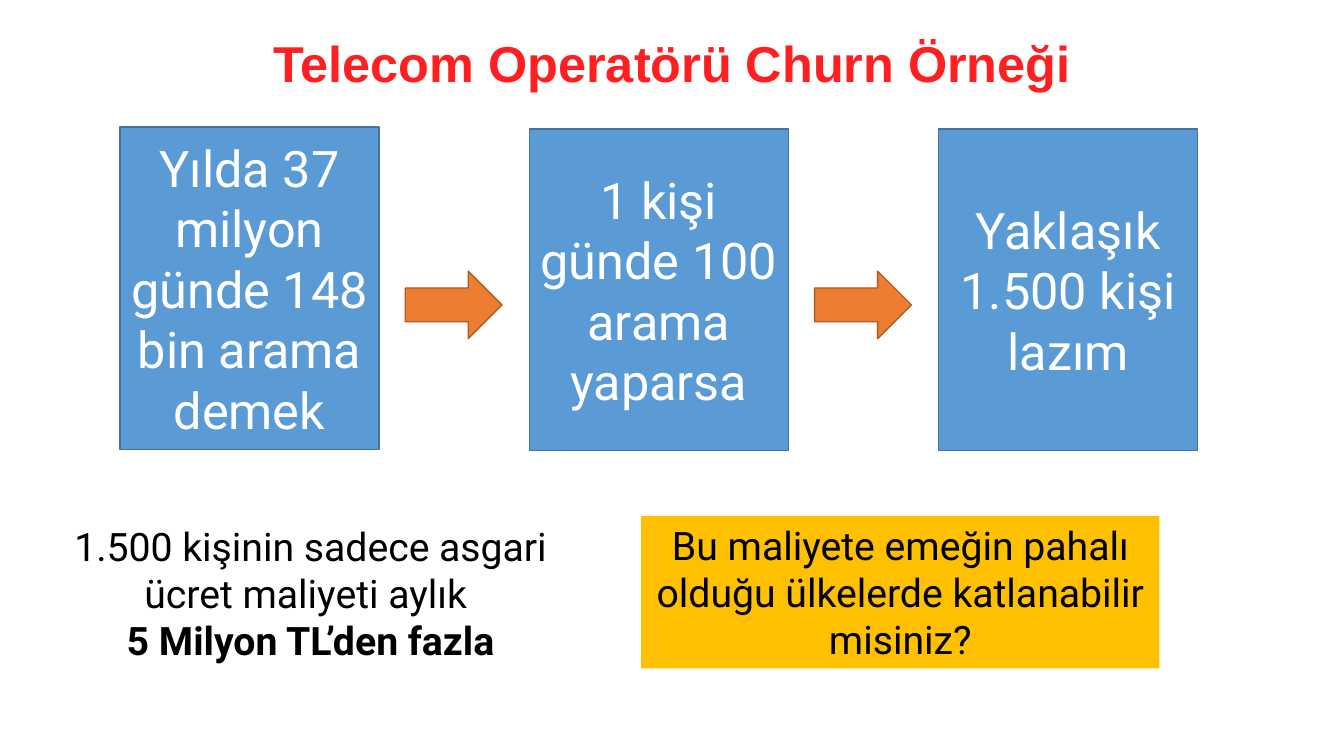
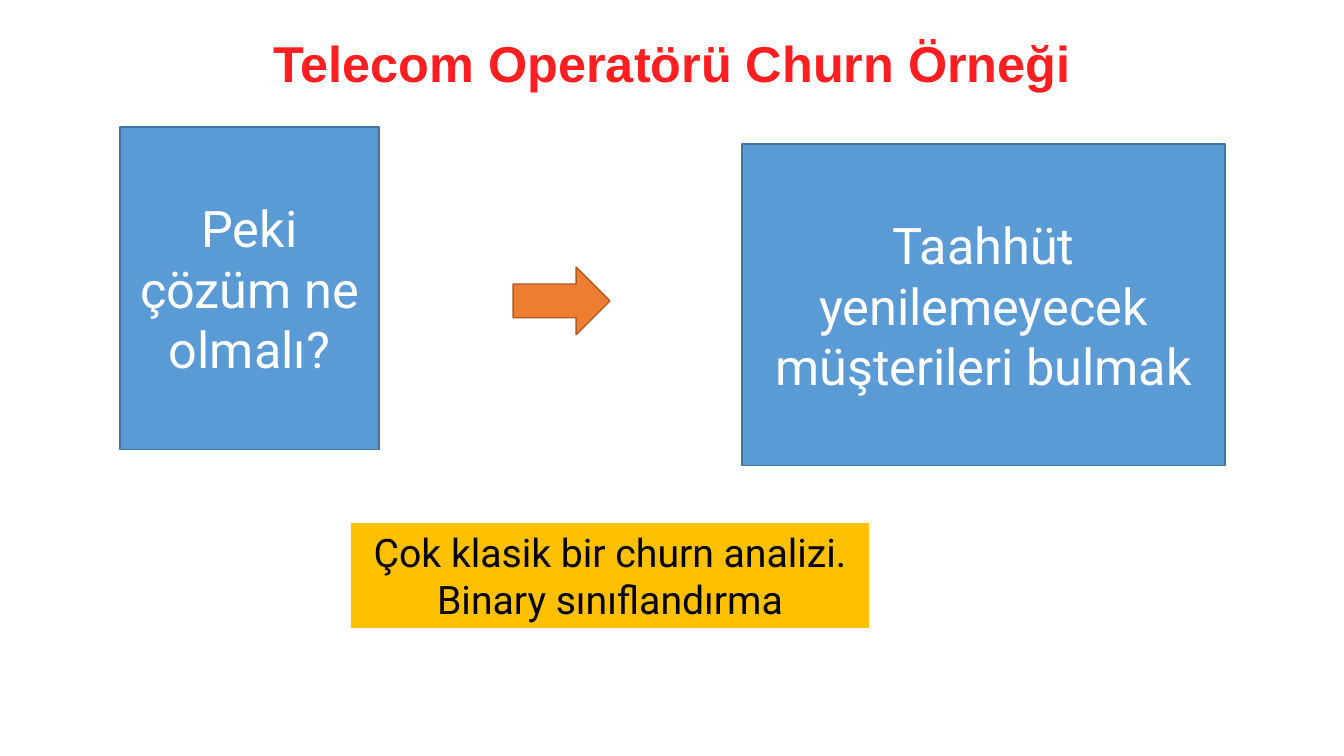
"""Build two slides on the telecom churn example."""
from dataclasses import dataclass

from pptx import Presentation
from pptx.dml.color import RGBColor
from pptx.enum.shapes import MSO_SHAPE
from pptx.enum.text import MSO_ANCHOR, MSO_AUTO_SIZE, PP_ALIGN
from pptx.util import Inches, Pt

RECT, ARROW = MSO_SHAPE.RECTANGLE, MSO_SHAPE.RIGHT_ARROW
TOP, MIDDLE, BOTTOM = MSO_ANCHOR.TOP, MSO_ANCHOR.MIDDLE, MSO_ANCHOR.BOTTOM
FIXED = MSO_AUTO_SIZE.NONE
CENTER = PP_ALIGN.CENTER


@dataclass(frozen=True)
class Theme:
    red: str = "FF1F20"
    blue: str = "5B9BD5"
    navy: str = "43739E"
    orange: str = "ED7D31"
    rust: str = "AF5C24"
    gold: str = "FFC000"
    white: str = "FFFFFF"
    black: str = "000000"
    head: str = "Arial"
    body: str = "Roboto"
    large: int = 36
    small: int = 28


theme = Theme()


def draw(slide, kind, place, fill, edge=None):
    shape = slide.shapes.add_shape(kind, *map(Inches, place))
    shape.shadow.inherit = False
    shape.fill.solid()
    shape.fill.fore_color.rgb = RGBColor.from_string(fill)
    if edge:
        shape.line.color.rgb = RGBColor.from_string(edge)
        shape.line.width = Pt(1)
    else:
        shape.line.fill.background()
    return shape


def write(shape, lines, size, color, anchor, face=theme.body):
    frame = shape.text_frame
    frame.word_wrap = True
    frame.auto_size = FIXED
    frame.vertical_anchor = anchor
    for index, (text, bold) in enumerate(lines):
        para = frame.add_paragraph() if index else frame.paragraphs[0]
        para.alignment = CENTER
        run = para.add_run()
        run.text = text
        run.font.name = face
        run.font.size = Pt(size)
        run.font.bold = bold
        run.font.color.rgb = RGBColor.from_string(color)


title = "Telecom Operatörü Churn Örneği"
slides = [
    {
        "steps": [
            ("Yılda 37 milyon günde 148 bin arama demek", (1.19, 1.26, 2.57, 3.2)),
            ("1 kişi günde 100 arama yaparsa", (5.25, 1.28, 2.57, 3.19)),
            ("Yaklaşık 1.500 kişi lazım", (9.31, 1.28, 2.57, 3.19)),
        ],
        "arrows": [(4.02, 2.69), (8.08, 2.69)],
        "callout": (
            "Bu maliyete emeğin pahalı olduğu ülkelerde katlanabilir misiniz?",
            (6.36, 5.12, 5.14, 1.51),
        ),
        "cost": [
            ("1.500 kişinin sadece asgari ücret maliyeti aylık ", False),
            ("5 Milyon TL’den fazla", True),
        ],
    },
    {
        "steps": [
            ("Peki çözüm ne olmalı?", (1.19, 1.26, 2.57, 3.2)),
            ("Taahhüt yenilemeyecek müşterileri bulmak", (7.36, 1.43, 4.79, 3.19)),
        ],
        "arrows": [(5.09, 2.65)],
        "callout": (
            "Çok klasik bir churn analizi. Binary sınıflandırma",
            (3.48, 5.19, 5.14, 1.04),
        ),
        "cost": [],
    },
]

deck = Presentation()
deck.slide_width, deck.slide_height = Inches(13.33), Inches(7.5)

for page in slides:
    slide = deck.slides.add_slide(deck.slide_layouts[5])
    head = slide.shapes.title
    head.left, head.top = Inches(2.51), Inches(0.31)
    head.width, head.height = Inches(8.32), Inches(0.67)
    write(head, [(title, True)], theme.large, theme.red, BOTTOM, theme.head)
    head.text_frame.paragraphs[0].line_spacing = 0.9

    for text, place in page["steps"]:
        box = draw(slide, RECT, place, theme.blue, theme.navy)
        write(box, [(text, False)], theme.large, theme.white, MIDDLE)

    for left, top in page["arrows"]:
        draw(slide, ARROW, (left, top, 0.96, 0.67), theme.orange, theme.rust)

    text, place = page["callout"]
    note = draw(slide, RECT, place, theme.gold)
    write(note, [(text, False)], theme.small, theme.black, TOP)

    if page["cost"]:
        place = map(Inches, (0.51, 5.13, 5.14, 1.51))
        cost = slide.shapes.add_textbox(*place)
        write(cost, page["cost"], theme.small, theme.black, TOP)

deck.save("out.pptx")
